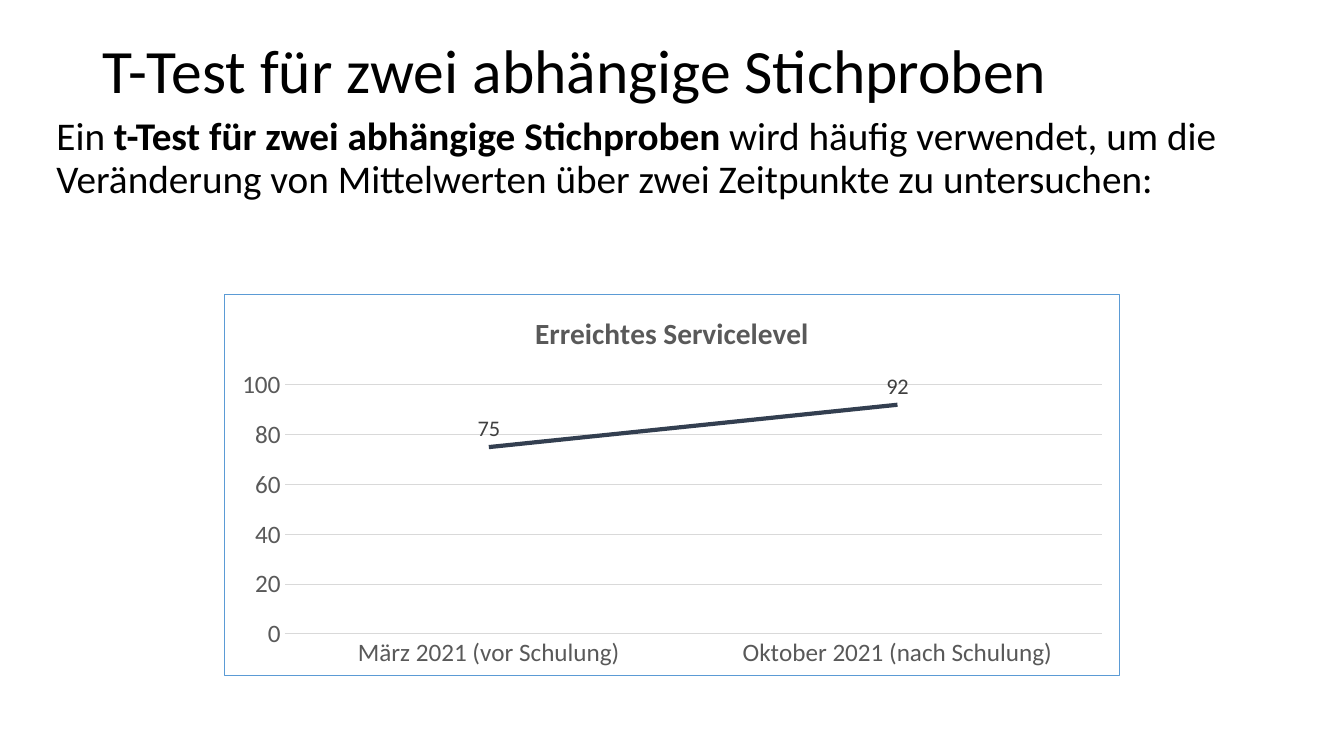
from dataclasses import dataclass

import pptx
import pptx.chart.data
import pptx.dml.color
import pptx.enum.chart
import pptx.enum.text
import pptx.oxml
import pptx.oxml.ns
import pptx.util

Inches = pptx.util.Inches
Pt = pptx.util.Pt


@dataclass(frozen=True)
class Theme:
    font: str = "Calibri"
    text: str = "000000"
    axis: str = "595959"
    label: str = "404040"
    grid: str = "D9D9D9"
    series: str = "333F50"
    border: str = "5B9BD5"
    title_size: int = 44
    body_size: int = 28
    chart_title_size: int = 21
    axis_size: int = 18
    label_size: int = 16
    hairline: float = 0.75
    series_line: float = 3


@dataclass(frozen=True)
class Box:
    left: float
    top: float
    width: float
    height: float

    def lengths(self) -> tuple:
        return tuple(Inches(v) for v in (self.left, self.top, self.width, self.height))


@dataclass(frozen=True)
class Run:
    text: str
    bold: bool = False


@dataclass(frozen=True)
class TextBlock:
    box: Box
    runs: tuple[Run, ...]
    size: int
    anchor: pptx.enum.text.MSO_ANCHOR
    space_before: int = 0


THEME = Theme()
TITLE = TextBlock(
    Box(0.92, 0, 11.5, 1.45),
    (Run("T-Test für zwei abhängige Stichproben"),),
    THEME.title_size, pptx.enum.text.MSO_ANCHOR.MIDDLE)
BODY = TextBlock(
    Box(0.46, 1.11, 12.41, 5.59),
    (Run("Ein "),
     Run("t-Test für zwei abhängige Stichproben ", bold=True),
     Run("wird häufig verwendet, um die Veränderung von Mittelwerten "
         "über zwei Zeitpunkte zu untersuchen:")),
    THEME.body_size, pptx.enum.text.MSO_ANCHOR.TOP, space_before=10)
CHART_BOX = Box(2.22, 2.92, 8.89, 3.79)
CHART_TITLE = "Erreichtes Servicelevel"
SERVICE_LEVELS = {"März 2021 (vor Schulung)": 75, "Oktober 2021 (nach Schulung)": 92}


def set_attributes(obj, values: dict) -> None:
    for name, value in values.items():
        setattr(obj, name, value)


def format_font(font, size: int, color: str, bold: bool = False) -> None:
    set_attributes(font, {"name": THEME.font, "size": Pt(size), "bold": bold})
    font.color.rgb = pptx.dml.color.RGBColor.from_string(color)


def format_line(line, color: str, width: float) -> None:
    line.color.rgb = pptx.dml.color.RGBColor.from_string(color)
    line.width = Pt(width)


def fill_placeholder(sp, block: TextBlock) -> None:
    left, top, width, height = block.box.lengths()
    set_attributes(sp, {"left": left, "top": top, "width": width, "height": height})
    tf = sp.text_frame
    set_attributes(tf, {"word_wrap": True, "vertical_anchor": block.anchor,
                        "auto_size": pptx.enum.text.MSO_AUTO_SIZE.NONE})
    p = tf.paragraphs[0]
    set_attributes(p, {"alignment": pptx.enum.text.PP_ALIGN.LEFT,
                       "line_spacing": 0.9, "space_before": Pt(block.space_before)})
    # No bullet and no hanging indent
    pPr = p._p.get_or_add_pPr()
    pPr.set("marL", "0")
    pPr.set("indent", "0")
    pPr.append(pptx.oxml.parse_xml(f'<a:buNone {pptx.oxml.ns.nsdecls("a")}/>'))
    for run in block.runs:
        r = p.add_run()
        r.text = run.text
        format_font(r.font, block.size, THEME.text, run.bold)


def add_chart_border(chart) -> None:
    border = pptx.oxml.parse_xml(
        f'<c:spPr {pptx.oxml.ns.nsdecls("c", "a")}><a:noFill/>'
        f'<a:ln w="{Pt(THEME.hairline)}"><a:solidFill><a:srgbClr val="{THEME.border}"/>'
        '</a:solidFill></a:ln></c:spPr>')
    chart.element.find(pptx.oxml.ns.qn("c:chart")).addnext(border)


def add_service_chart(s) -> None:
    data = pptx.chart.data.CategoryChartData()
    data.categories = list(SERVICE_LEVELS)
    data.add_series(CHART_TITLE, list(SERVICE_LEVELS.values()))
    chart = s.shapes.add_chart(
        pptx.enum.chart.XL_CHART_TYPE.LINE, *CHART_BOX.lengths(), data).chart
    format_font(chart.font, THEME.axis_size, THEME.text)
    chart.has_legend = False
    add_chart_border(chart)

    # Chart title
    p = chart.chart_title.text_frame.paragraphs[0]
    r = p.add_run()
    r.text = CHART_TITLE
    format_font(r.font, THEME.chart_title_size, THEME.axis, bold=True)
    chart.chart_title.include_in_layout = False

    # Axes
    no_tick = pptx.enum.chart.XL_TICK_MARK.NONE
    for axis in (chart.category_axis, chart.value_axis):
        set_attributes(axis, {"major_tick_mark": no_tick, "minor_tick_mark": no_tick})
        format_font(axis.tick_labels.font, THEME.axis_size, THEME.axis)
    format_line(chart.category_axis.format.line, THEME.grid, THEME.hairline)
    set_attributes(chart.value_axis, {"minimum_scale": 0, "maximum_scale": 100,
                                      "major_unit": 20, "has_major_gridlines": True})
    chart.value_axis.format.line.fill.background()
    format_line(chart.value_axis.major_gridlines.format.line, THEME.grid, THEME.hairline)

    # Line and its value labels
    plot = chart.plots[0]
    plot.vary_by_categories = False
    series = plot.series[0]
    series.smooth = False
    series.marker.style = pptx.enum.chart.XL_MARKER_STYLE.NONE
    format_line(series.format.line, THEME.series, THEME.series_line)
    labels = series.data_labels
    set_attributes(labels, {"show_value": True,
                            "position": pptx.enum.chart.XL_LABEL_POSITION.ABOVE})
    format_font(labels.font, THEME.label_size, THEME.label)


def main() -> None:
    prs = pptx.Presentation()
    set_attributes(prs, {"slide_width": Inches(13.33), "slide_height": Inches(7.5)})
    s = prs.slides.add_slide(prs.slide_layouts[1])
    fill_placeholder(s.shapes.title, TITLE)
    fill_placeholder(s.placeholders[1], BODY)
    add_service_chart(s)
    prs.save("out.pptx")


if __name__ == "__main__":
    main()
